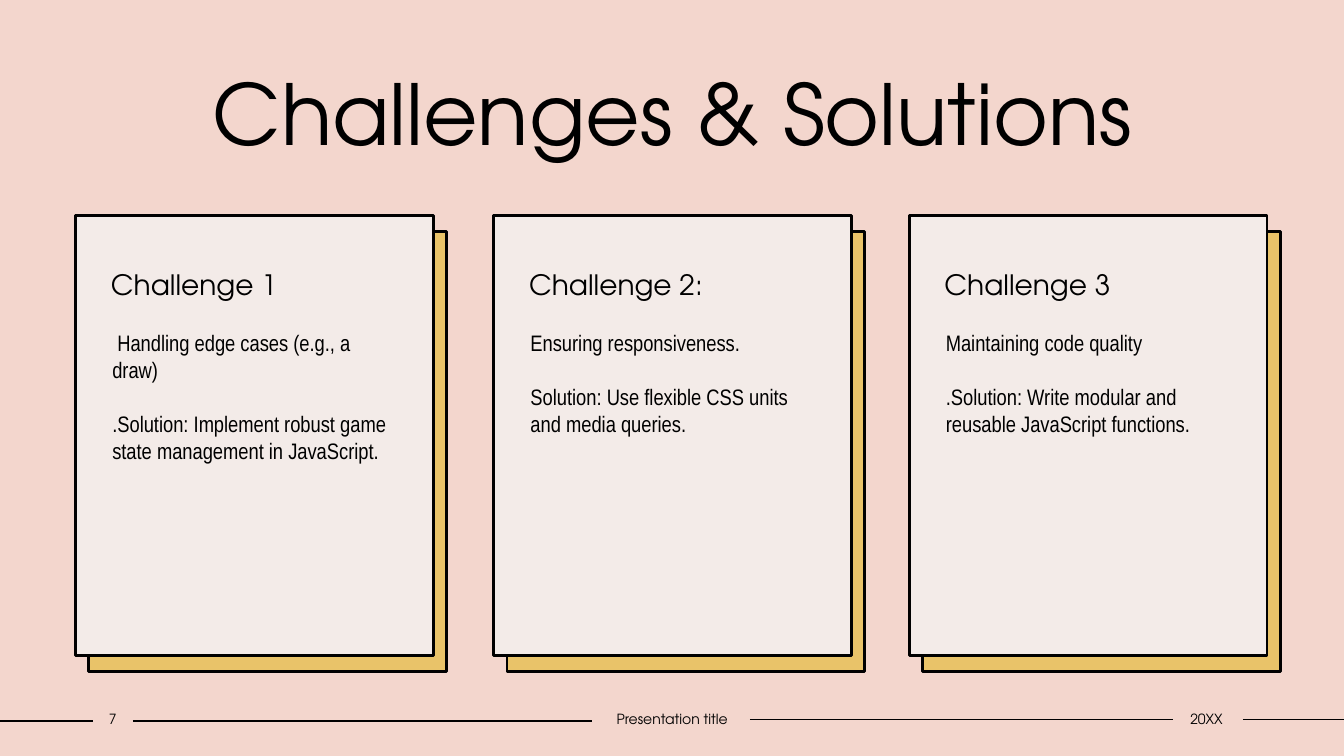
from pptx import Presentation
from pptx.dml.color import RGBColor
from pptx.enum.shapes import MSO_CONNECTOR as Link, MSO_SHAPE as Shape
from pptx.enum.text import MSO_ANCHOR as Anchor, MSO_AUTO_SIZE as Fit, PP_ALIGN as Align
from pptx.oxml.ns import qn
from pptx.util import Pt
from lxml.etree import SubElement

BLACK = RGBColor(0x00, 0x00, 0x00)
PINK = RGBColor(0xF3, 0xD6, 0xCD)
CREAM = RGBColor(0xF3, 0xEB, 0xE8)
GOLD = RGBColor(0xE9, 0xC3, 0x69)
HEAD = "TeX Gyre Adventor"
BODY = "Arial Narrow"

TOP, WIDE, HIGH = 154.1, 255.6, 313.9
CARDS = [
    (54, "Challenge 1", [
        (" Handling edge cases (e.g., a", 0), ("draw)", 0),
        (".Solution: Implement robust game state management in JavaScript.", 19)]),
    (352.7, "Challenge 2:", [
        ("Ensuring responsiveness.", 0),
        ("Solution: Use flexible CSS units and media queries.", 19)]),
    (649.4, "Challenge 3", [
        ("Maintaining code quality", 0),
        (".Solution: Write modular and reusable JavaScript functions.", 19)]),
]
RULES = [(0, 66.2, 515), (95, 422.6, 515), (535.7, 838.1, 514.1), (887.8, 960, 514.1)]
NOTES = [(66.2, 28.8, "7"), (422.6, 115.2, "Presentation title"), (836.6, 50.4, "20XX")]


def write(par, text, font, size, align=Align.LEFT):
    par.alignment = align
    run = par.add_run()
    run.text = text
    run.font.name = font
    run.font.size = Pt(size)
    run.font.bold = False
    run.font.color.rgb = BLACK


def panel(left, top, fill):
    """Add an outlined rectangle of card size."""
    box = slide.shapes.add_shape(Shape.RECTANGLE, Pt(left), Pt(top), Pt(WIDE), Pt(HIGH))
    box.shadow.inherit = False
    box.fill.solid()
    box.fill.fore_color.rgb = fill
    box.line.color.rgb = BLACK
    box.line.width = Pt(2)
    return box


deck = Presentation()
deck.slide_width, deck.slide_height = Pt(960), Pt(540)
slide = deck.slides.add_slide(deck.slide_layouts.get_by_name("Comparison"))
slide.background.fill.solid()
slide.background.fill.fore_color.rgb = PINK
tree = slide.shapes.element
title, *lists, spare = slide.placeholders
tree.remove(spare.element)

# Footer rules
for start, end, y in RULES:
    rule = slide.shapes.add_connector(Link.STRAIGHT, Pt(start), Pt(y), Pt(end), Pt(y))
    rule.line.color.rgb = BLACK
    rule.line.width = Pt(1)
    SubElement(rule.element.spPr, qn("a:effectLst"))

# Title
title.left, title.top, title.width, title.height = Pt(90), Pt(40.3), Pt(780.5), Pt(79.9)
title.text_frame.auto_size = Fit.NONE
title.text_frame.vertical_anchor = Anchor.MIDDLE
write(title.text_frame.paragraphs[0], "Challenges & Solutions", HEAD, 60, Align.CENTER)

# Cards
for (left, name, lines), body in zip(CARDS, lists):
    panel(left + 9.4, TOP + 11.5, GOLD)
    frame = panel(left, TOP, CREAM).text_frame
    frame.word_wrap = True
    frame.vertical_anchor = Anchor.TOP
    frame.margin_left, frame.margin_top = Pt(25.2), Pt(39.6)
    par = frame.paragraphs[0]
    par.line_spacing, par.space_before = 0.9, Pt(10)
    write(par, name, HEAD, 20)

    body.left, body.top, body.width, body.height = Pt(left + 19), Pt(231.8), Pt(216), Pt(219.6)
    tree.append(body.element)
    frame = body.text_frame
    frame.auto_size = Fit.NONE
    frame.vertical_anchor = Anchor.TOP
    for i, (text, gap) in enumerate(lines):
        par = frame.add_paragraph() if i else frame.paragraphs[0]
        par.space_before = Pt(gap)
        props = par._p.get_or_add_pPr()
        props.set("marL", "0")
        props.set("indent", "0")
        SubElement(props, qn("a:buNone"))
        write(par, text, BODY, 16)

# Footer texts
for left, width, text in NOTES:
    note = slide.shapes.add_textbox(Pt(left), Pt(504), Pt(width), Pt(19.4))
    frame = note.text_frame
    frame.word_wrap = True
    frame.vertical_anchor = Anchor.MIDDLE
    frame.margin_left = frame.margin_right = 0
    write(frame.paragraphs[0], text, HEAD, 10, Align.CENTER)

deck.save("out.pptx")
